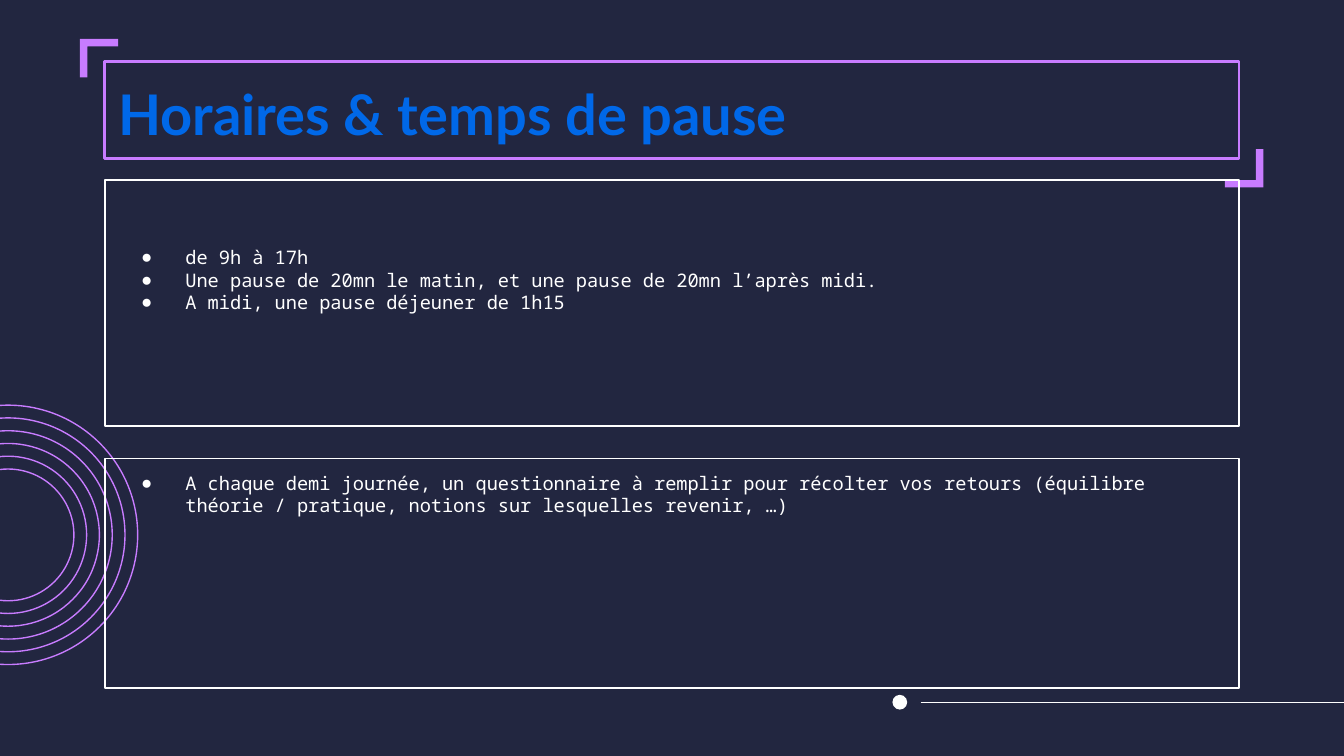
import pptx
import pptx.dml.color
import pptx.enum.shapes
import pptx.enum.text
import pptx.oxml
import pptx.oxml.ns
import pptx.util

NAVY = pptx.dml.color.RGBColor(0x22, 0x26, 0x40)
PURPLE = pptx.dml.color.RGBColor(0xC8, 0x7C, 0xFF)
WHITE = pptx.dml.color.RGBColor(0xFF, 0xFF, 0xFF)
BLUE = pptx.dml.color.RGBColor(0x00, 0x68, 0xE8)

SLIDE_WIDTH = pptx.util.Inches(10)
SLIDE_HEIGHT = pptx.util.Inches(5.625)
COLUMNS = 100  # square grid cells across the slide
LEFT, WIDTH = 7.8, 84.4  # shared by the title and both text boxes
INSET = 1

RECTANGLE = pptx.enum.shapes.MSO_SHAPE.RECTANGLE
OVAL = pptx.enum.shapes.MSO_SHAPE.OVAL

SCHEDULE = [
    "de 9h à 17h",
    "Une pause de 20mn le matin, et une pause de 20mn l’après midi.",
    "A midi, une pause déjeuner de 1h15",
]
FEEDBACK = [
    "A chaque demi journée, un questionnaire à remplir pour récolter vos retours "
    "(équilibre théorie / pratique, notions sur lesquelles revenir, …)",
]


def grid(cells):
    """Convert grid cells to a length."""
    return pptx.util.Emu(round(cells * SLIDE_WIDTH / COLUMNS))


def paint(shape, fill=None, line=None, weight=0.75):
    shape.shadow.inherit = False
    if fill is None:
        shape.fill.background()
    else:
        shape.fill.solid()
        shape.fill.fore_color.rgb = fill
    if line is None:
        shape.line.fill.background()
    else:
        shape.line.color.rgb = line
        shape.line.width = pptx.util.Pt(weight)


def add_preset(page, preset, left, top, width, height, **colours):
    shape = page.shapes.add_shape(preset, *map(grid, (left, top, width, height)))
    paint(shape, **colours)


def add_circle(page, x, y, radius, **colours):
    add_preset(page, OVAL, x - radius, y - radius, 2 * radius, 2 * radius, **colours)


def add_rings(page, x, y, inner, step, count):
    for ring in range(count):
        add_circle(page, x, y, inner + ring * step, line=PURPLE)


def add_bracket(page, x, y, direction, arm=2.85, thick=0.55):
    """Draw an L with its outer corner at x, y; direction 1 opens down right, -1 up left."""
    outline = [(0, 0), (arm, 0), (arm, thick), (thick, thick), (thick, arm), (0, arm)]
    points = [(grid(x + direction * dx), grid(y + direction * dy)) for dx, dy in outline]
    builder = page.shapes.build_freeform(*points[0])
    builder.add_line_segments(points[1:], close=True)
    paint(builder.convert_to_shape(), fill=PURPLE)


def add_rule(page, start, end, y):
    rule = page.shapes.add_connector(
        pptx.enum.shapes.MSO_CONNECTOR.STRAIGHT, grid(start), grid(y), grid(end), grid(y))
    rule.line.color.rgb = WHITE
    rule.line.width = pptx.util.Pt(0.6)
    properties = rule._element.spPr
    properties.append(pptx.oxml.parse_xml(f"<a:effectLst {pptx.oxml.ns.nsdecls('a')}/>"))


def place(holder, top, height, inset_top=INSET):
    """Bring a placeholder to the front, move it and reset its text frame."""
    holder._element.getparent().append(holder._element)
    holder.left, holder.top = grid(LEFT), grid(top)
    holder.width, holder.height = grid(WIDTH), grid(height)
    frame = holder.text_frame
    frame.word_wrap = True
    frame.auto_size = pptx.enum.text.MSO_AUTO_SIZE.NONE
    frame.vertical_anchor = pptx.enum.text.MSO_ANCHOR.TOP
    frame.margin_left = frame.margin_right = frame.margin_bottom = grid(INSET)
    frame.margin_top = grid(inset_top)
    return frame


def add_span(para, text, font, size, colour, bold=False):
    para.alignment = pptx.enum.text.PP_ALIGN.LEFT
    para.space_before = pptx.util.Pt(0)
    span = para.add_run()
    span.text = text
    span.font.name = font
    span.font.size = pptx.util.Pt(size)
    span.font.bold = bold
    span.font.color.rgb = colour


def add_bullet(para):
    properties = para._p.get_or_add_pPr()
    properties.set("marL", str(grid(5)))
    properties.set("indent", str(grid(-3.3)))
    namespace = pptx.oxml.ns.nsdecls("a")
    properties.append(pptx.oxml.parse_xml(
        f'<a:buClr {namespace}><a:srgbClr val="{WHITE}"/></a:buClr>'))
    properties.append(pptx.oxml.parse_xml(f'<a:buChar {namespace} char="●"/>'))


def fill_title(holder, text):
    frame = place(holder, 4.9, 6.3)
    add_span(frame.paragraphs[0], text, "Lato", 30, BLUE, bold=True)


def fill_list(holder, items, top, height, inset_top=INSET):
    frame = place(holder, top, height, inset_top)
    holder.line.color.rgb = WHITE
    holder.line.width = pptx.util.Pt(0.75)
    for index, item in enumerate(items):
        para = frame.add_paragraph() if index else frame.paragraphs[0]
        add_span(para, item, "Noto Sans Mono", 10, WHITE)
        add_bullet(para)


def main():
    deck = pptx.Presentation()
    deck.slide_width, deck.slide_height = SLIDE_WIDTH, SLIDE_HEIGHT
    page = deck.slides.add_slide(deck.slide_layouts.get_by_name("Two Content"))
    page.background.fill.solid()
    page.background.fill.fore_color.rgb = NAVY

    add_rings(page, x=0.6, y=39.8, inner=4.9, step=0.95, count=6)
    add_rule(page, 68.5, COLUMNS, 52.25)
    add_circle(page, 66.95, 52.25, 0.55, fill=WHITE)
    add_preset(page, RECTANGLE, LEFT, 4.6, WIDTH, 7.2, line=PURPLE, weight=1.5)
    add_bracket(page, 94, 13.95, direction=-1)
    add_bracket(page, 5.95, 2.9, direction=1)

    title, schedule, feedback = page.placeholders
    fill_list(schedule, SCHEDULE, 13.4, 18.3, inset_top=4.9)
    fill_title(title, "Horaires & temps de pause")
    fill_list(feedback, FEEDBACK, 34.1, 17.1)
    deck.save("out.pptx")


if __name__ == "__main__":
    main()
